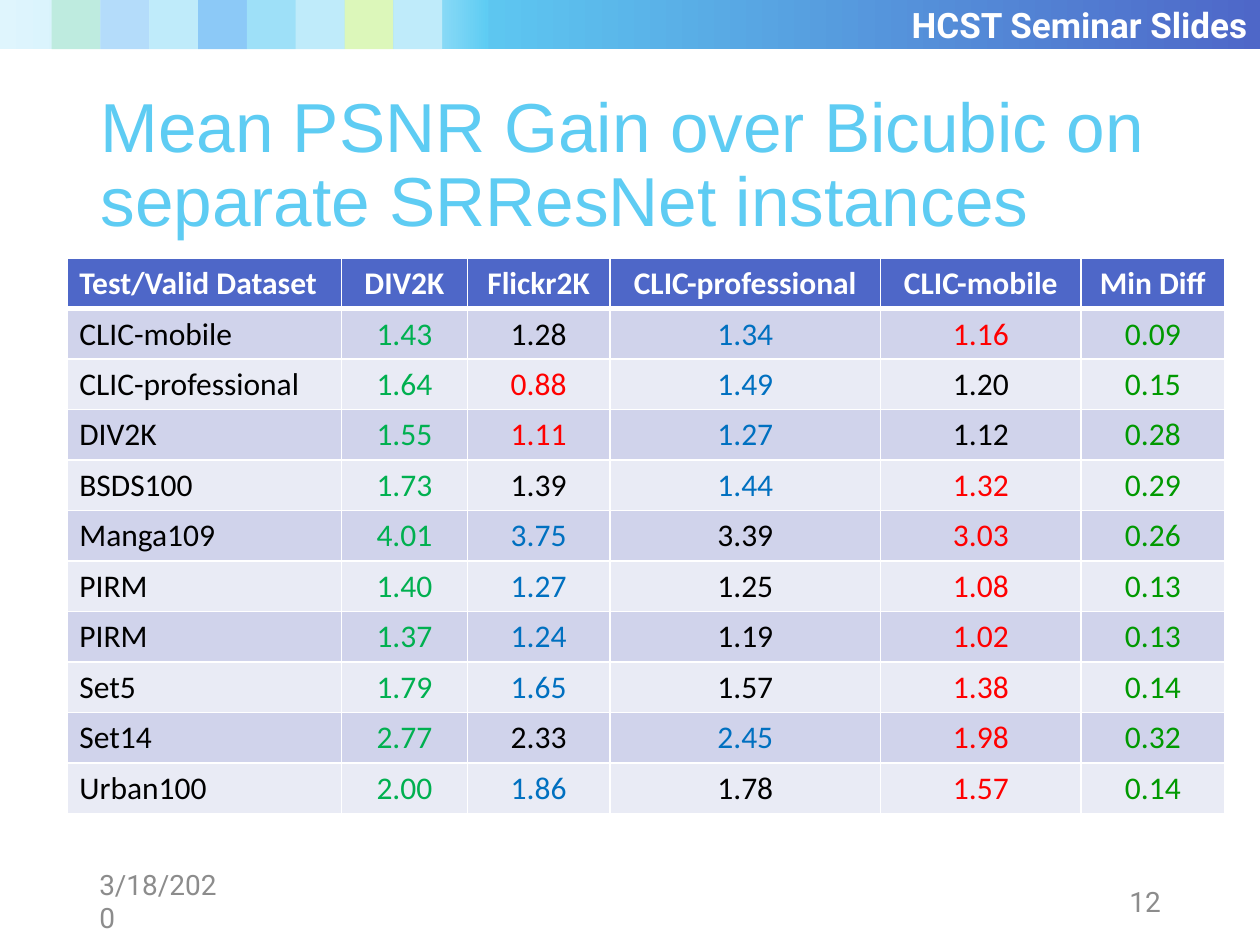
from lxml import etree
from pptx import Presentation
from pptx.dml.color import RGBColor
from pptx.enum.shapes import MSO_SHAPE
from pptx.enum.text import MSO_ANCHOR, PP_ALIGN
from pptx.oxml import parse_xml
from pptx.oxml.ns import nsdecls, qn
from pptx.util import Inches, Pt

RECT = MSO_SHAPE.RECTANGLE
MIDDLE = MSO_ANCHOR.MIDDLE
LEFT, CENTER, RIGHT = PP_ALIGN.LEFT, PP_ALIGN.CENTER, PP_ALIGN.RIGHT

WHITE = RGBColor(0xFF, 0xFF, 0xFF)
BLACK = RGBColor(0x00, 0x00, 0x00)
GRAY = RGBColor(0x8C, 0x8C, 0x8C)
INDIGO = RGBColor(0x4E, 0x67, 0xC8)
SKY = RGBColor(0x5E, 0xCC, 0xF3)
ICE = RGBColor(0xDF, 0xF5, 0xFD)
PALE_SKY = RGBColor(0xBF, 0xEB, 0xFA)
LIGHT_SKY = RGBColor(0x9E, 0xE0, 0xF8)
MINT = RGBColor(0xBE, 0xEB, 0xDF)
PALE_BLUE = RGBColor(0xB4, 0xDC, 0xFA)
SOFT_BLUE = RGBColor(0x8C, 0xC9, 0xF7)
LIME = RGBColor(0xDC, 0xF7, 0xBA)
BAND_DARK = RGBColor(0xD0, 0xD3, 0xEB)
BAND_LIGHT = RGBColor(0xE9, 0xEB, 0xF5)
BEST = RGBColor(0x00, 0xB0, 0x50)
SECOND = RGBColor(0x00, 0x70, 0xC0)
WORST = RGBColor(0xFF, 0x00, 0x00)
DIFF = RGBColor(0x00, 0x99, 0x00)


def add_bar(left, width, stops):
    sp = s.shapes.add_shape(RECT, Inches(left), 0, Inches(width), Inches(0.39))
    sp.shadow.inherit = False
    sp.line.fill.background()
    if len(stops) == 1:
        sp.fill.solid()
        sp.fill.fore_color.rgb = stops[0][1]
        return sp
    sp.fill.gradient()
    sp.fill.gradient_angle = 0
    gs_list = sp.element.spPr.find(".//" + qn("a:gsLst"))
    for gs in list(gs_list):
        gs_list.remove(gs)
    for pos, color in stops:
        gs = etree.SubElement(gs_list, qn("a:gs"), pos=str(pos * 1000))
        etree.SubElement(gs, qn("a:srgbClr"), val=str(color))
    return sp


def write(tf, text, size, font, color, align=LEFT, bold=False):
    tf.word_wrap = True
    tf.vertical_anchor = MIDDLE
    p = tf.paragraphs[0]
    p.alignment = align
    r = p.add_run()
    r.text = text
    r.font.size = Pt(size)
    r.font.name = font
    r.font.bold = bold
    r.font.color.rgb = color
    return p


prs = Presentation()
prs.slide_width = Inches(10)
prs.slide_height = Inches(7.5)
s = prs.slides.add_slide(prs.slide_layouts[6])

banner = add_bar(3.5, 6.5, [(0, SKY), (100, INDIGO)])
p = write(banner.text_frame, "HCST Seminar Slides", 20, "Roboto", WHITE, RIGHT, True)
p.line_spacing = Pt(24)
add_bar(0, 3.87, [(0, ICE), (54, PALE_SKY), (86, LIGHT_SKY), (100, SKY)])
squares = [MINT, PALE_BLUE, PALE_SKY, SOFT_BLUE, LIGHT_SKY, PALE_SKY, LIME, PALE_SKY]
step = (3.51 - 0.41) / len(squares)
for i, color in enumerate(squares):
    add_bar(0.41 + i * step, step, [(0, color)])

labels = [
    (0.7, 0.6, 8.86, 1.45, "Mean PSNR Gain over Bicubic on separate SRResNet instances",
     39.6, "Arial", SKY, LEFT, 0.9),
    (0.69, 6.95, 1.13, 0.4, "3/18/2020", 16, "Roboto", GRAY, LEFT, 1.0),
    (8.32, 6.95, 0.99, 0.4, "12", 16, "Roboto", GRAY, RIGHT, 1.0),
]
for left, top, width, height, text, size, font, color, align, spacing in labels:
    tb = s.shapes.add_textbox(Inches(left), Inches(top), Inches(width), Inches(height))
    p = write(tb.text_frame, text, size, font, color, align)
    p.line_spacing = spacing

header = ["Test/Valid Dataset", "DIV2K", "Flickr2K", "CLIC-professional", "CLIC-mobile", "Min Diff"]
gains = [
    ("CLIC-mobile", 1.43, 1.28, 1.34, 1.16),
    ("CLIC-professional", 1.64, 0.88, 1.49, 1.20),
    ("DIV2K", 1.55, 1.11, 1.27, 1.12),
    ("BSDS100", 1.73, 1.39, 1.44, 1.32),
    ("Manga109", 4.01, 3.75, 3.39, 3.03),
    ("PIRM", 1.40, 1.27, 1.25, 1.08),
    ("PIRM", 1.37, 1.24, 1.19, 1.02),
    ("Set5", 1.79, 1.65, 1.57, 1.38),
    ("Set14", 2.77, 2.33, 2.45, 1.98),
    ("Urban100", 2.00, 1.86, 1.78, 1.57),
]
rows = [[(text, WHITE) for text in header]]
for name, *values in gains:
    ranked = sorted(values, reverse=True)
    rank_colors = dict(zip(ranked, [BEST, SECOND, BLACK, WORST]))
    rows.append([(name, BLACK)]
                + [(f"{v:.2f}", rank_colors[v]) for v in values]
                + [(f"{ranked[0] - ranked[1]:.2f}", DIFF)])

col_widths = [2.18, 1, 1.13, 2.15, 1.59, 1.14]
table = s.shapes.add_table(len(rows), len(header), Inches(0.53), Inches(2.05),
                           Inches(sum(col_widths)), Inches(0.4 * len(rows))).table
for col, width in zip(table.columns, col_widths):
    col.width = Inches(width)

for i, row in enumerate(rows):
    fill = INDIGO if i == 0 else BAND_DARK if i % 2 else BAND_LIGHT
    borders = {"lnL": 1, "lnR": 1, "lnT": 3 if i == 1 else 1, "lnB": 3 if i == 0 else 1}
    for j, (text, color) in enumerate(row):
        cell = table.cell(i, j)
        tc_pr = cell._tc.get_or_add_tcPr()
        for tag, width in borders.items():
            tc_pr.append(parse_xml(
                f'<a:{tag} {nsdecls("a")} w="{Pt(width)}"><a:solidFill>'
                f'<a:srgbClr val="{WHITE}"/></a:solidFill></a:{tag}>'))
        cell.fill.solid()
        cell.fill.fore_color.rgb = fill
        cell.vertical_anchor = MIDDLE
        p = cell.text_frame.paragraphs[0]
        p.alignment = CENTER if j else LEFT
        r = p.add_run()
        r.text = text
        r.font.size = Pt(18)
        r.font.name = "Calibri"
        r.font.bold = i == 0
        r.font.color.rgb = color

prs.save("out.pptx")
